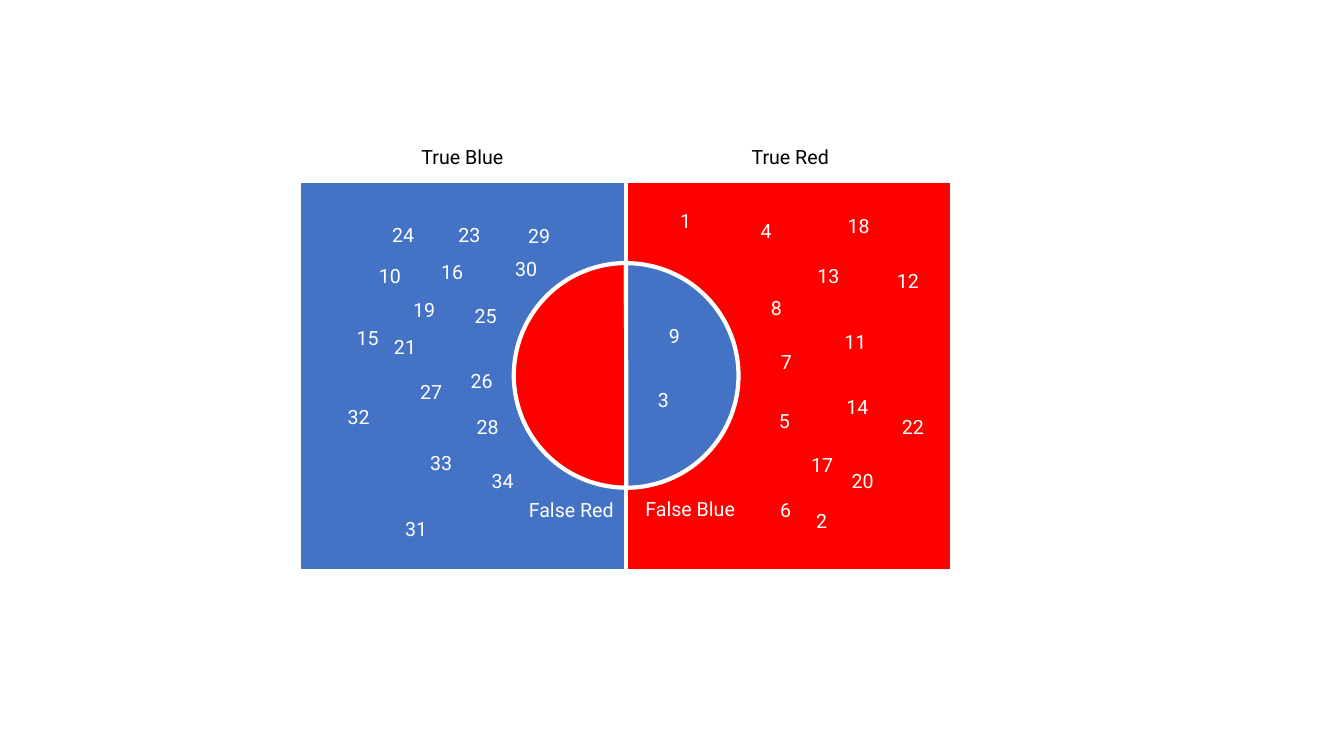
"""Build a slide of numbered cases split into true and false blue and red."""
from pptx import Presentation
from pptx.dml.color import RGBColor
from pptx.enum.shapes import MSO_SHAPE
from pptx.enum.text import MSO_AUTO_SIZE, PP_ALIGN
from pptx.util import Cm, Pt

RECTANGLE, PIE = MSO_SHAPE.RECTANGLE, MSO_SHAPE.PIE
LEFT, CENTER, RIGHT = PP_ALIGN.LEFT, PP_ALIGN.CENTER, PP_ALIGN.RIGHT
GROW = MSO_AUTO_SIZE.SHAPE_TO_FIT_TEXT

BLUE, RED, WHITE, BLACK = "4472C4", "FF0000", "FFFFFF", "000000"
FIELD_LEFT, FIELD_TOP, FIELD_WIDTH, FIELD_HEIGHT = 7.54, 4.57, 8.23, 9.83
CIRCLE_LEFT, CIRCLE_TOP, CIRCLE_SIZE = 12.95, 6.63, 5.66
PIE_START, PIE_END = 89.9, 270
PIE_UNITS_PER_DEGREE = 0.6
LABEL_WIDTH, LINE_HEIGHT, TALL_HEIGHT = 4.01, 0.86, 1.45
RED_NUMBER_WIDTH, BLUE_NUMBER_WIDTH = 1.4, 1.88
TALL_NUMBERS = {25, 26}

CLASS_LABELS = [
    ("True Blue", 9.65, 3.53, CENTER, BLACK),
    ("True Red", 17.91, 3.53, CENTER, BLACK),
    ("False Blue", 15.39, 12.4, CENTER, WHITE),
    ("False Red", 11.71, 12.42, RIGHT, WHITE),
]
RED_NUMBERS = {
    1: (16.89, 5.13), 2: (20.32, 12.7), 3: (16.33, 9.65),
    4: (18.92, 5.38), 5: (19.38, 10.19), 6: (19.41, 12.42),
    7: (19.43, 8.69), 8: (19.18, 7.34), 9: (16.61, 8.03),
    11: (21.03, 8.2), 12: (22.35, 6.65), 13: (20.35, 6.53),
    14: (21.08, 9.83), 17: (20.19, 11.28), 18: (21.11, 5.26),
    20: (21.21, 11.68), 22: (22.48, 10.34),
}
BLUE_NUMBERS = {
    10: (9.3, 6.53), 15: (8.74, 8.08), 16: (10.87, 6.43),
    19: (10.16, 7.37), 21: (9.68, 8.31), 23: (11.3, 5.49),
    24: (9.63, 5.49), 25: (11.71, 7.54), 26: (11.61, 9.17),
    27: (10.34, 9.45), 28: (11.76, 10.34), 29: (13.06, 5.51),
    30: (12.73, 6.35), 31: (9.96, 12.9), 32: (8.51, 10.08),
    33: (10.59, 11.23), 34: (12.14, 11.68),
}


def color(hex_code):
    return RGBColor.from_string(hex_code)


class Diagram:
    def __init__(self, slide, font="Roboto", size=14, line_width=3):
        self.slide = slide
        self.font = font
        self.size = Pt(size)
        self.line_width = Pt(line_width)

    def area(self, preset, left, top, width, height, fill):
        area = self.slide.shapes.add_shape(
            preset, Cm(left), Cm(top), Cm(width), Cm(height))
        area.shadow.inherit = False
        area.fill.solid()
        area.fill.fore_color.rgb = color(fill)
        area.line.color.rgb = color(WHITE)
        area.line.width = self.line_width
        return area

    def half_circle(self, fill, rotation):
        half = self.area(PIE, CIRCLE_LEFT, CIRCLE_TOP,
                         CIRCLE_SIZE, CIRCLE_SIZE, fill)
        half.adjustments[0] = PIE_START * PIE_UNITS_PER_DEGREE
        half.adjustments[1] = PIE_END * PIE_UNITS_PER_DEGREE
        half.rotation = rotation

    def text(self, wording, left, top, width, height=LINE_HEIGHT,
             align=LEFT, ink=WHITE):
        box = self.slide.shapes.add_textbox(
            Cm(left), Cm(top), Cm(width), Cm(height))
        frame = box.text_frame
        frame.word_wrap = True
        frame.auto_size = GROW
        paragraph = frame.paragraphs[0]
        paragraph.alignment = align
        run = paragraph.add_run()
        run.text = wording
        run.font.name = self.font
        run.font.size = self.size
        run.font.color.rgb = color(ink)

    def numbers(self, places, width):
        for number, (left, top) in places.items():
            height = TALL_HEIGHT if number in TALL_NUMBERS else LINE_HEIGHT
            self.text(str(number), left, top, width, height)


def main():
    deck = Presentation()
    deck.slide_width, deck.slide_height = Cm(33.87), Cm(19.05)
    diagram = Diagram(deck.slides.add_slide(deck.slide_layouts[6]))

    for column, fill in enumerate((BLUE, RED)):
        diagram.area(RECTANGLE, FIELD_LEFT + column * FIELD_WIDTH, FIELD_TOP,
                     FIELD_WIDTH, FIELD_HEIGHT, fill)
    for fill, rotation in ((RED, 0), (BLUE, 180)):
        diagram.half_circle(fill, rotation)

    for wording, left, top, align, ink in CLASS_LABELS:
        diagram.text(wording, left, top, LABEL_WIDTH, align=align, ink=ink)
    diagram.numbers(RED_NUMBERS, RED_NUMBER_WIDTH)
    diagram.numbers(BLUE_NUMBERS, BLUE_NUMBER_WIDTH)

    deck.save("out.pptx")


if __name__ == "__main__":
    main()
